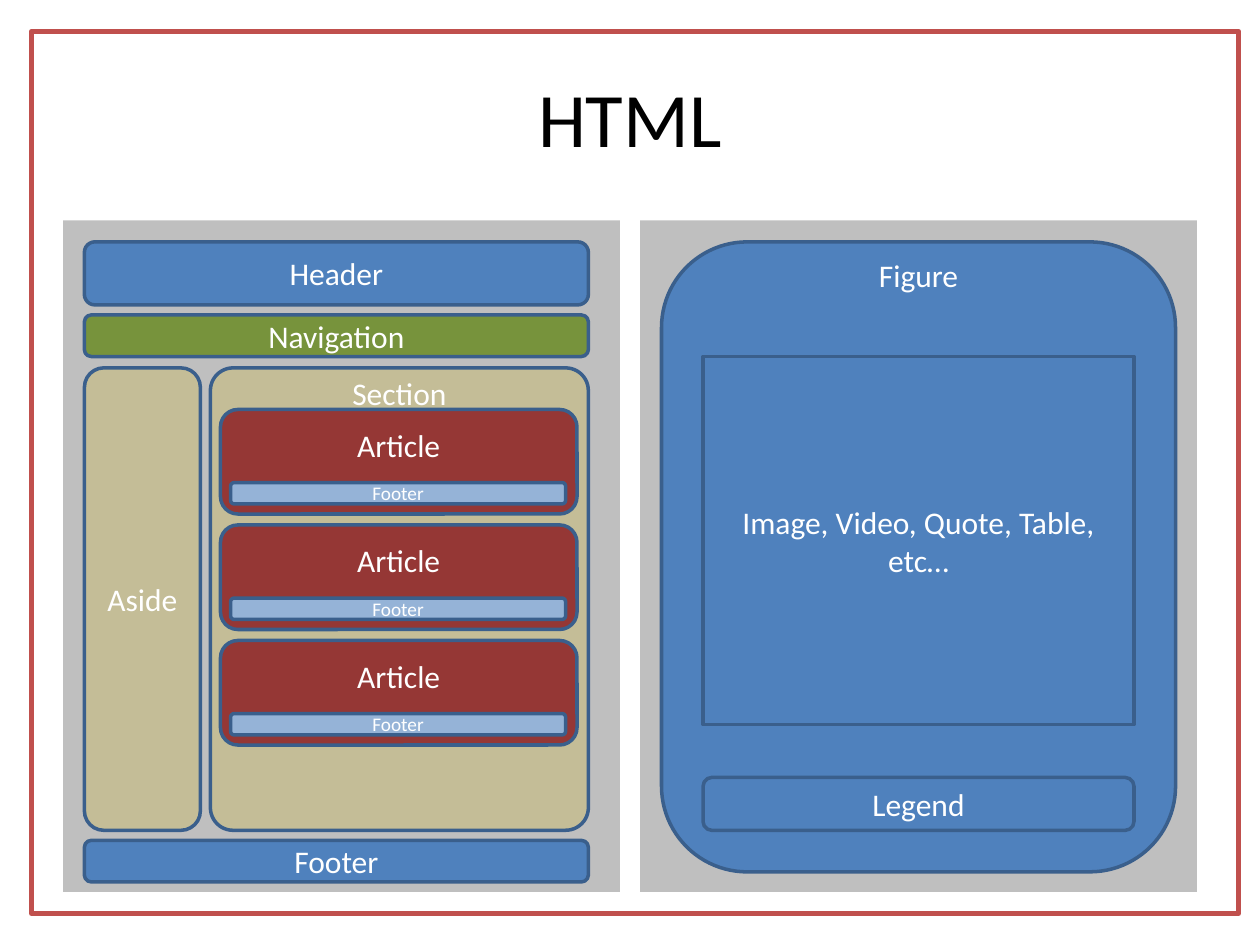
import pptx
import pptx.dml.color
import pptx.enum.shapes
import pptx.enum.text
import pptx.util

Inches = pptx.util.Inches
Pt = pptx.util.Pt
MSO_SHAPE = pptx.enum.shapes.MSO_SHAPE
ANCHOR = pptx.enum.text.MSO_ANCHOR

FONT = "Calibri"
BLUE, OUTLINE, TAN = "4F81BD", "3A5F8C", "C4BD97"
GREEN, RED, PALE_BLUE = "77933C", "953735", "95B3D7"
GRAY, WHITE, BLACK, FRAME = "BFBFBF", "FFFFFF", "000000", "C0504D"


def rgb(color):
    return pptx.dml.color.RGBColor.from_string(color)


def write(sp, text, size=18, color=WHITE, anchor=ANCHOR.MIDDLE, inset=0):
    """Set one centred line of text, inset from the top and bottom."""
    tf = sp.text_frame
    tf.word_wrap = True
    tf.vertical_anchor = anchor
    tf.margin_top = tf.margin_bottom = Inches(inset)
    tf.text = text
    p = tf.paragraphs[0]
    p.alignment = pptx.enum.text.PP_ALIGN.CENTER
    r = p.runs[0]
    r.font.name = FONT
    r.font.size = Pt(size)
    r.font.color.rgb = rgb(color)


def add_label(slide, box, text, size=18, color=WHITE):
    sp = slide.shapes.add_textbox(*map(Inches, box))
    write(sp, text, size, color)


def add_box(slide, box, fill, text=None, line=OUTLINE, width=2, rounded=True,
            corner=None, **style):
    kind = MSO_SHAPE.ROUNDED_RECTANGLE if rounded else MSO_SHAPE.RECTANGLE
    sp = slide.shapes.add_shape(kind, *map(Inches, box))
    sp.shadow.inherit = False
    sp.fill.solid()
    sp.fill.fore_color.rgb = rgb(fill)
    if line:
        sp.line.color.rgb = rgb(line)
        sp.line.width = Pt(width)
    else:
        sp.line.fill.background()
    if corner is not None:
        sp.adjustments[0] = corner
    if text:
        write(sp, text, **style)


def add_article(slide, box):
    x, y, w, h = box
    add_box(slide, box, RED, "Article", anchor=ANCHOR.TOP, inset=0.09)
    add_box(slide, (x + 0.08, y + h - 0.25, w - 0.17, 0.17), PALE_BLUE,
            "Footer", size=11)


def add_section(slide, box):
    x, y, w, h = box
    add_box(slide, box, TAN, "Section", corner=0.06, anchor=ANCHOR.TOP)
    for i in range(3):
        add_article(slide, (x + 0.08, y + 0.33 + i * 11 / 12, w - 0.17, 0.83))


def add_page_panel(slide, box):
    """Page layout: header, navigation, aside, section and footer."""
    x, y, w, h = box
    add_box(slide, box, GRAY, line=None, rounded=False)
    left, inner = x + 0.17, w - 0.42
    aside, gap = 0.92, 0.08
    add_box(slide, (left, y + 0.17, inner, 0.5), BLUE, "Header")
    add_box(slide, (left, y + 0.75, inner, 0.33), GREEN, "Navigation")
    add_box(slide, (left, y + 1.17, aside, 3.67), TAN, "Aside")
    add_box(slide, (left, y + 4.92, inner, 0.33), BLUE, "Footer")
    add_section(slide, (left + aside + gap, y + 1.17,
                        inner - aside - gap, 3.67))


def add_figure_panel(slide, box):
    """Figure with its content and legend."""
    x, y, w, h = box
    add_box(slide, box, GRAY, line=None, rounded=False)
    add_box(slide, (x + 0.17, y + 0.17, w - 0.34, h - 0.33), BLUE)
    left, inner = x + 0.5, w - 1
    add_label(slide, (left, y + 0.25, inner, 0.36), "Figure")
    add_box(slide, (left, y + 1.08, inner, 2.92), BLUE,
            "Image, Video, Quote, Table, etc…", rounded=False)
    add_box(slide, (left, y + 4.42, inner, 0.42), BLUE, "Legend")


def main():
    prs = pptx.Presentation()
    prs.slide_width = Inches(10)
    prs.slide_height = Inches(7.5)
    slide = prs.slides.add_slide(prs.slide_layouts[6])

    # Frame and title
    add_box(slide, (0.25, 0.25, 9.58, 7), WHITE, line=FRAME, width=3,
            rounded=False)
    add_label(slide, (0.5, 0.3, 9, 1.25), "HTML", 44, BLACK)

    # Two panels side by side
    add_page_panel(slide, (0.5, 1.75, 4.42, 5.33))
    add_figure_panel(slide, (5.08, 1.75, 4.42, 5.33))

    prs.save("out.pptx")


if __name__ == "__main__":
    main()
